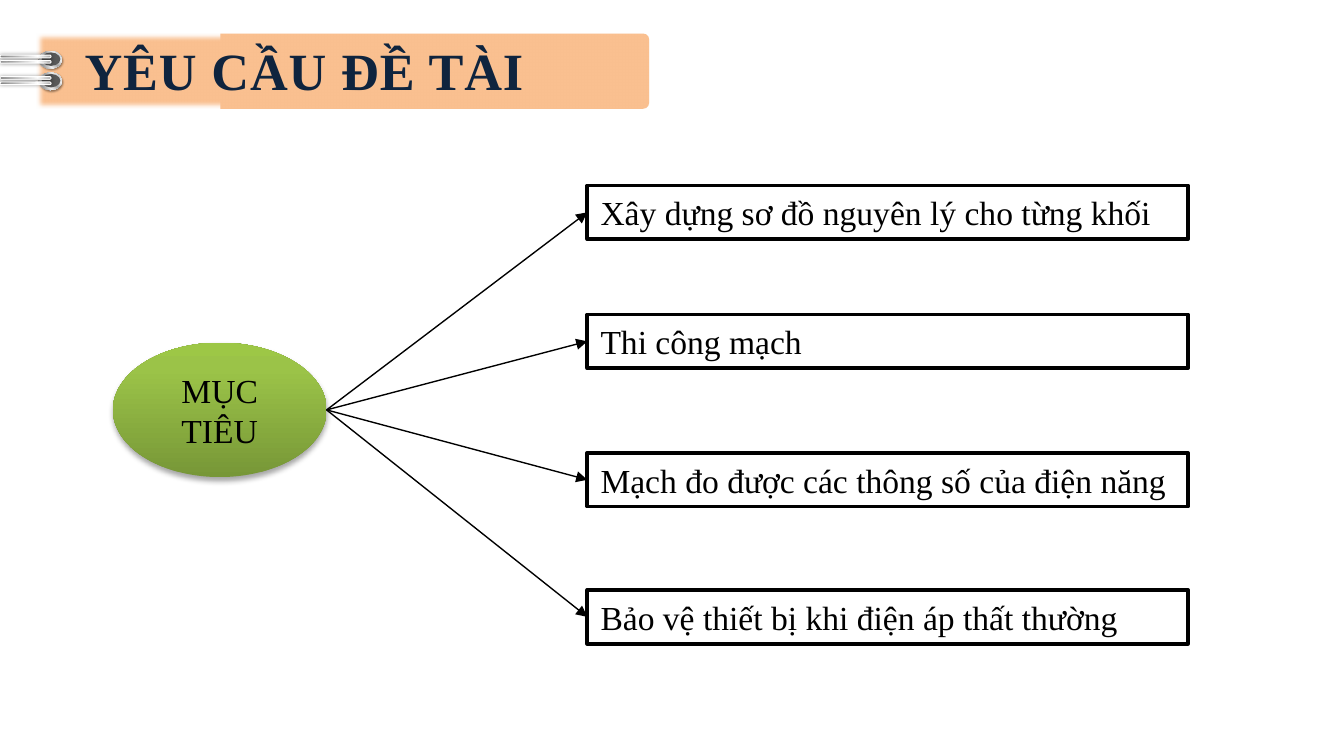
from lxml import etree
from pptx import Presentation
from pptx.dml.color import RGBColor
from pptx.enum.shapes import MSO_CONNECTOR as Connector, MSO_SHAPE as Shape
from pptx.enum.text import MSO_ANCHOR as Anchor, PP_ALIGN as Align
from pptx.oxml.ns import qn
from pptx.util import Inches, Pt

FONT = "Times New Roman"
PEACH, NAVY, BLACK, WHITE = "FAC090", "0F243E", "000000", "FFFFFF"
RING_STOPS = [(0, "FFFFFF"), (17, "A6A6A6"), (35, "F2F2F2"),
              (55, "A6A6A6"), (75, "F2F2F2"), (100, "A6A6A6")]
WIRE_STOPS = [(0, "808080"), (23, "A6A6A6"), (52, "D9D9D9"),
              (74, "FFFFFF"), (100, "A6A6A6")]
GREEN_STOPS = [(0, "779737"), (80, "9BC348"), (100, "9DC746")]
GOALS = [
    (1.38, "Xây dựng sơ đồ nguyên lý cho từng khối"),
    (2.34, "Thi công mạch"),
    (3.37, "Mạch đo được các thông số của điện năng"),
    (4.39, "Bảo vệ thiết bị khi điện áp thất thường"),
]


def color(value):
    return RGBColor.from_string(value)


def add_element(parent, tag, **attributes):
    values = {name: str(value) for name, value in attributes.items()}
    return etree.SubElement(parent, qn(tag), values)


def add_figure(page, kind, box, fill=None, line=None, width=1, rotation=0):
    figure = page.shapes.add_shape(kind, *[Inches(length) for length in box])
    figure.rotation = rotation
    figure.shadow.inherit = False
    if fill:
        figure.fill.solid()
        figure.fill.fore_color.rgb = color(fill)
    else:
        figure.fill.background()
    if line:
        figure.line.color.rgb = color(line)
        figure.line.width = Pt(width)
    else:
        figure.line.fill.background()
    return figure


def set_gradient(figure, stops, angle):
    properties = figure.element.spPr
    gradient = etree.Element(qn("a:gradFill"), rotWithShape="1")
    stop_list = add_element(gradient, "a:gsLst")
    for position, value in stops:
        stop = add_element(stop_list, "a:gs", pos=position * 1000)
        add_element(stop, "a:srgbClr", val=value)
    add_element(gradient, "a:lin", ang=angle * 60000, scaled=0)
    properties.replace(properties.find(qn("a:noFill")), gradient)


def set_shadow(figure, alpha, blur, distance, angle):
    effects = figure.element.spPr.find(qn("a:effectLst"))
    shadow = add_element(effects, "a:outerShdw", blurRad=Pt(blur), dist=Pt(distance),
                         dir=angle * 60000, algn="ctr", rotWithShape=0)
    tint = add_element(shadow, "a:srgbClr", val=BLACK)
    add_element(tint, "a:alpha", val=alpha * 1000)


def set_text(figure, text, size, value, align, bold=False):
    frame = figure.text_frame
    frame.text = text
    frame.word_wrap = True
    frame.vertical_anchor = Anchor.MIDDLE
    para = frame.paragraphs[0]
    para.alignment = align
    span = para.runs[0]
    span.font.name = FONT
    span.font.size = Pt(size)
    span.font.bold = bold
    span.font.color.rgb = color(value)


def add_banner(page, left, top, width, height):
    # Solid right part, then the soft-edged strip, both rounded on the right
    for start, soft in ((1.37, False), (0, True)):
        length = width - start
        middle = left + start + length / 2
        box = (middle - height / 2, top + height / 2 - length / 2, height, length)
        strip = add_figure(page, Shape.ROUND_2_SAME_RECTANGLE, box, PEACH, rotation=90)
        strip.adjustments[0] = 0.08
        if soft:
            effects = strip.element.spPr.find(qn("a:effectLst"))
            add_element(effects, "a:softEdge", rad=Pt(2.5))


def add_binding(page, left, top):
    # Two holes, each with a pale rim
    for row in (0, 0.16):
        rim = add_figure(page, Shape.OVAL, (left + 0.31, top + row, 0.13, 0.17), rotation=270)
        set_gradient(rim, RING_STOPS, 45)
        set_shadow(rim, 40, 1, 1, 45)
        add_figure(page, Shape.OVAL, (left + 0.33, top + row + 0.01, 0.1, 0.14),
                   "595959", rotation=270)
    # A pair of wires runs into each hole
    for row in (0, 0.04, 0.16, 0.2):
        wire = add_figure(page, Shape.ROUNDED_RECTANGLE,
                          (left + 0.18, top - 0.13 + row, 0.02, 0.38),
                          line=WHITE, width=0.5, rotation=270)
        wire.adjustments[0] = 0.5
        set_gradient(wire, WIRE_STOPS, 90)
        set_shadow(wire, 40, 2, 0, 0)


def add_title(page, left, top, width, height):
    title = page.shapes.title
    title.left, title.top = Inches(left), Inches(top)
    title.width, title.height = Inches(width), Inches(height)
    set_text(title, "YÊU CẦU ĐỀ TÀI", 28, NAVY, Align.JUSTIFY, bold=True)
    for properties in title.element.iter(qn("a:rPr")):
        properties.set("spc", "50")
    # Bring the title in front of the banner
    title.element.getparent().append(title.element)


def add_arrow(page, start, target):
    arrow = page.shapes.add_connector(Connector.STRAIGHT, *start, *start)
    arrow.end_connect(target, 1)
    arrow.line.color.rgb = color(BLACK)
    arrow.line.width = Pt(0.75)
    properties = arrow.element.spPr
    add_element(properties.find(qn("a:ln")), "a:tailEnd", type="triangle")
    add_element(properties, "a:effectLst")


def add_goal_map(page, left, top):
    # Goal boxes
    targets = []
    for box_top, text in GOALS:
        target = add_figure(page, Shape.RECTANGLE, (left + 3.53, box_top, 4.47, 0.4),
                            WHITE, BLACK, 2)
        set_text(target, text, 18, BLACK, Align.LEFT)
        targets.append(target)
    # Hub
    hub = add_figure(page, Shape.OVAL, (left, top, 1.59, 1))
    set_gradient(hub, GREEN_STOPS, 270)
    set_shadow(hub, 35, 3.1, 1.8, 90)
    set_text(hub, "MỤC TIÊU", 18, BLACK, Align.CENTER)
    # Arrows from the hub to each goal
    start = (hub.left + hub.width, hub.top + hub.height // 2)
    for target in targets:
        add_arrow(page, start, target)


def main():
    deck = Presentation()
    # Widescreen, 16:9
    deck.slide_width = Inches(10)
    deck.slide_height = deck.slide_width * 9 // 16
    page = deck.slides.add_slide(deck.slide_layouts[5])
    add_banner(page, 0.27, 0.25, 4.56, 0.56)
    add_binding(page, 0, 0.36)
    add_title(page, 0.53, 0.23, 4.88, 0.57)
    add_goal_map(page, 0.84, 2.55)
    deck.save("out.pptx")


if __name__ == "__main__":
    main()
